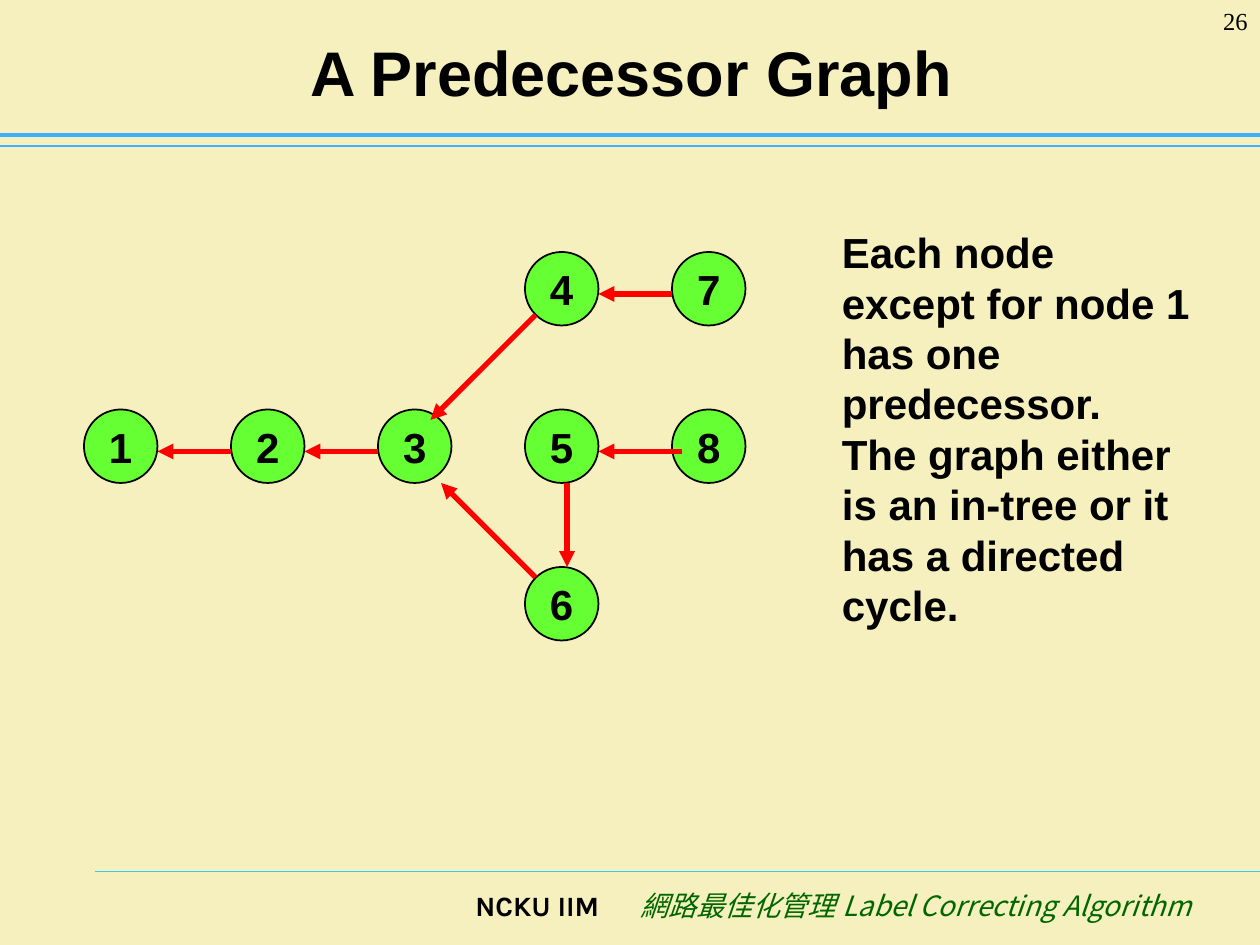
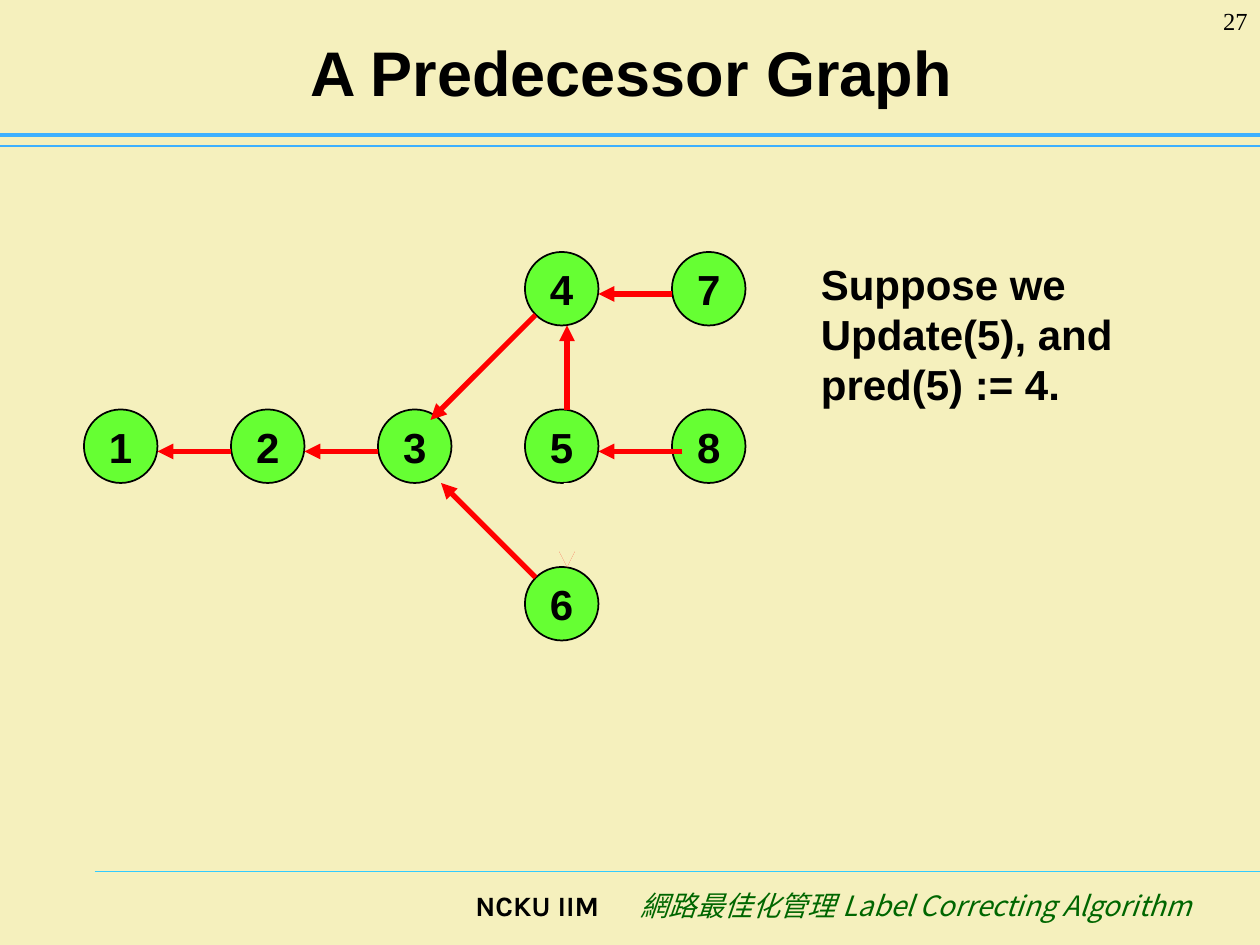
from lxml.etree import SubElement
from pptx import Presentation
from pptx.dml.color import RGBColor
from pptx.enum.shapes import MSO_CONNECTOR, MSO_SHAPE
from pptx.enum.text import MSO_ANCHOR, MSO_AUTO_SIZE, PP_ALIGN
from pptx.oxml.ns import qn
from pptx.util import Inches, Pt

UNIT = Inches(10) / 120
PAPER, BLACK, GREEN, RED = "F5F0BD", "000000", "66FF33", "FF0000"
SKY, CYAN, FOREST = "3DB0FF", "33CCFF", "006600"

NODE_SIZE = 7
NODE_CELLS = {"1": (0, 1), "2": (1, 1), "3": (2, 1), "4": (3, 0),
              "7": (4, 0), "6": (3, 2), "5": (3, 1), "8": (4, 1)}
FIVE_TO_SIX = (54, 46, 54, 54)
FIVE_TO_FOUR = (54, 39, 54, 31)
PREDECESSOR_ARCS = [(22, 43, 15, 43), (36, 43, 29, 43), (65, 43, 57, 43),
                    FIVE_TO_SIX, (51, 55, 42, 46), (51, 30, 41, 40),
                    (64, 28, 57, 28)]


def grid(*units):
    return [round(unit * UNIT) for unit in units]


def color(hex_code):
    return RGBColor.from_string(hex_code)


def style(font, size, hex_code=BLACK, name="Arial", bold=True, italic=False):
    font.size, font.name, font.bold, font.italic = Pt(size), name, bold, italic
    font.color.rgb = color(hex_code)


def add_line(slide, ends, hex_code, weight, arrow=False):
    line = slide.shapes.add_connector(MSO_CONNECTOR.STRAIGHT, *grid(*ends))
    line.line.color.rgb = color(hex_code)
    line.line.width = Pt(weight)
    properties = line.element.spPr
    if arrow:
        SubElement(properties.find(qn("a:ln")), qn("a:tailEnd"), type="triangle")
    SubElement(properties, qn("a:effectLst"))


def add_text_box(slide, area):
    frame = slide.shapes.add_textbox(*grid(*area)).text_frame
    frame.word_wrap = True
    return frame


def add_title(slide, wording):
    title = slide.shapes.title
    title.left, title.top, title.width, title.height = grid(6.1, 1.6, 108, 10.4)
    title.text = wording
    title.text_frame.vertical_anchor = MSO_ANCHOR.MIDDLE
    heading = title.text_frame.paragraphs[0]
    heading.alignment = PP_ALIGN.CENTER
    style(heading.font, 36)


def add_footer(slide):
    frame = add_text_box(slide, (22, 84, 93.4, 6))
    frame.margin_left, frame.margin_right = Inches(1.94), 0
    footer = frame.paragraphs[0]
    tabs = SubElement(footer._p.get_or_add_pPr(), qn("a:tabLst"))
    SubElement(tabs, qn("a:tab"), pos=str(Inches(1.31)), algn="l")
    school = footer.add_run()
    school.text = "NCKU IIM\t"
    style(school.font, 16, name="Karla")
    course = footer.add_run()
    course.text = "網路最佳化管理 Label Correcting Algorithm"
    typeface = "Noto Sans CJK SC"
    style(course.font, 16, FOREST, typeface, bold=False, italic=True)
    SubElement(course._r.get_or_add_rPr(), qn("a:ea"), typeface=typeface)


def add_page_number(slide, number):
    page = add_text_box(slide, (110, 0, 10, 6)).paragraphs[0]
    page.text = str(number)
    page.alignment = PP_ALIGN.RIGHT
    style(page.font, 14, name="Times New Roman", bold=False)


def add_remark(slide, area, sentences):
    frame = add_text_box(slide, area)
    frame.auto_size = MSO_AUTO_SIZE.SHAPE_TO_FIT_TEXT
    frame.text = "\n".join(sentences)
    for sentence in frame.paragraphs:
        style(sentence.font, 24)


def add_node(slide, label, column, row):
    area = grid(8 + 14 * column, 24 + 15 * row, NODE_SIZE, NODE_SIZE)
    node = slide.shapes.add_shape(MSO_SHAPE.OVAL, *area)
    node.shadow.inherit = False
    node.fill.solid()
    node.fill.fore_color.rgb = color(GREEN)
    node.line.color.rgb = color(BLACK)
    node.line.width = Pt(1)
    frame = node.text_frame
    frame.word_wrap = False
    frame.vertical_anchor = MSO_ANCHOR.MIDDLE
    frame.text = label
    frame.paragraphs[0].alignment = PP_ALIGN.CENTER
    style(frame.paragraphs[0].font, 24)


def add_graph(slide, arcs):
    for label, cell in NODE_CELLS.items():
        add_node(slide, label, *cell)
    for ends, hex_code in arcs:
        add_line(slide, ends, hex_code, 3, arrow=True)


def add_graph_slide(deck, number, remark_area, sentences, arcs):
    slide = deck.slides.add_slide(deck.slide_layouts[5])
    add_line(slide, (9, 83, 120, 83), CYAN, 0.75)
    add_line(slide, (0, 13.9, 120, 13.9), SKY, 0.75)
    add_line(slide, (0, 12.85, 120, 12.85), SKY, 2.5)
    add_footer(slide)
    add_title(slide, "A Predecessor Graph")
    add_remark(slide, remark_area, sentences)
    add_graph(slide, arcs)
    add_page_number(slide, number)


def main():
    deck = Presentation()
    deck.slide_width, deck.slide_height = grid(120, 90)
    backdrop = deck.slide_master.background.fill
    backdrop.solid()
    backdrop.fore_color.rgb = color(PAPER)

    in_tree = [(ends, RED) for ends in PREDECESSOR_ARCS]
    add_graph_slide(deck, 26, (79, 21, 36, 39.6),
                    ["Each node except for node 1 has one predecessor.",
                     "The graph either is an in-tree or it has a directed cycle."],
                    in_tree)
    add_graph_slide(deck, 27, (77, 24, 32, 15.6),
                    ["Suppose we Update(5), and pred(5) := 4."],
                    in_tree + [(FIVE_TO_SIX, PAPER), (FIVE_TO_FOUR, RED)])
    deck.save("out.pptx")


if __name__ == "__main__":
    main()
